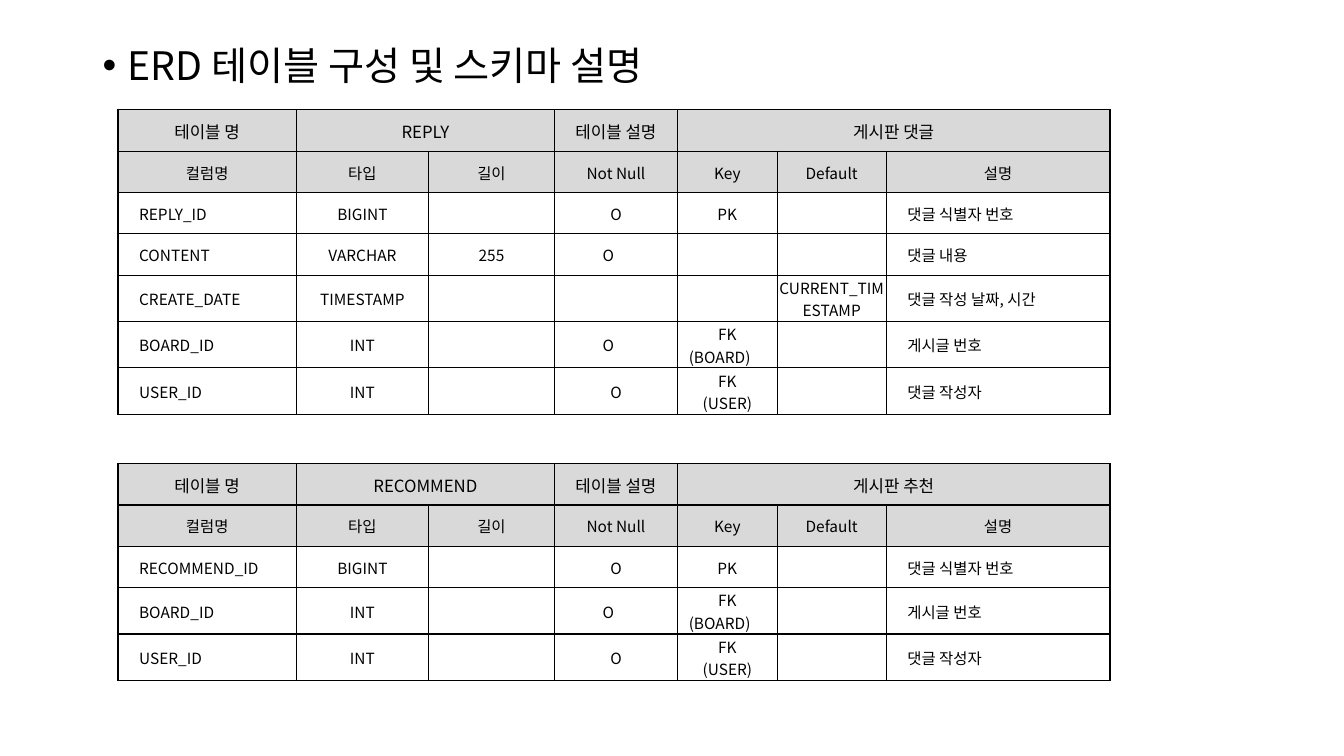
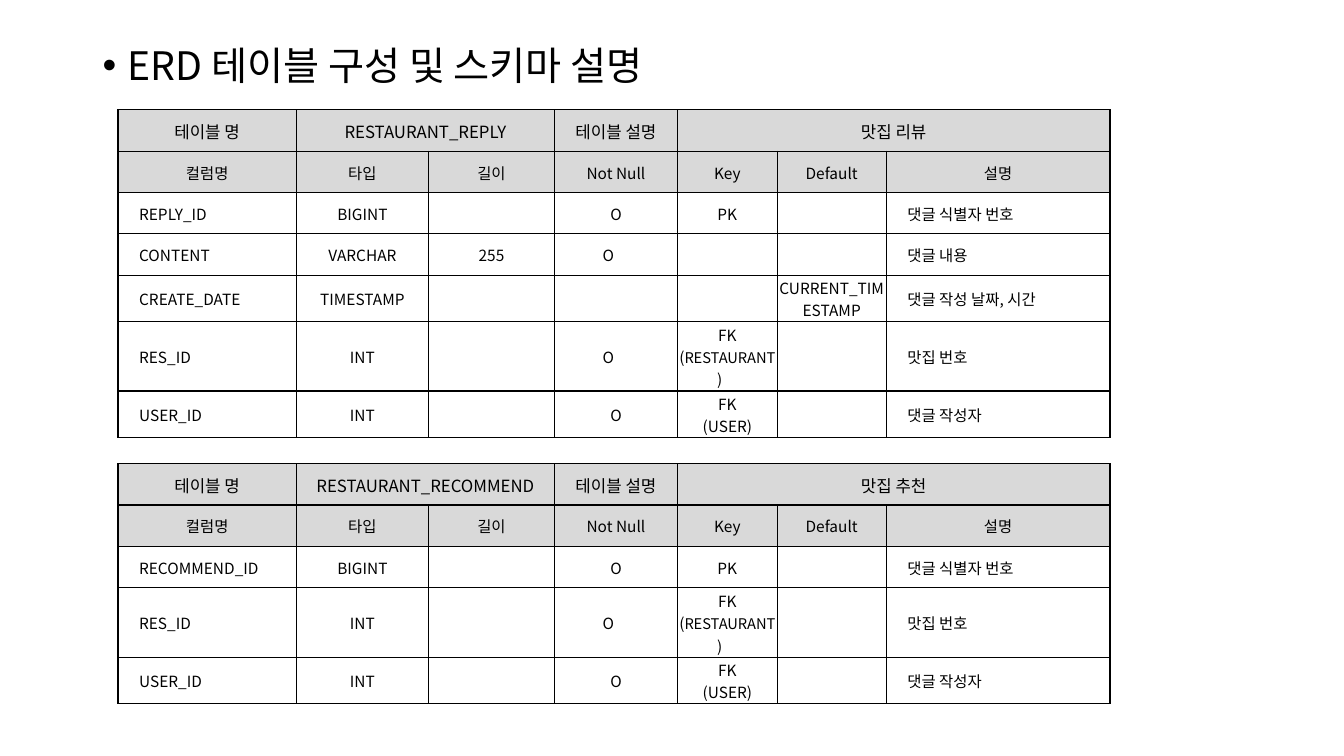
from math import ceil

from pptx import Presentation
from pptx.dml.color import RGBColor
from pptx.enum.text import MSO_ANCHOR, PP_ALIGN
from pptx.oxml.ns import qn
from pptx.util import Inches, Pt
from lxml.etree import SubElement, Element

COLORS = {"ink": "000000", "head": "D9D9D9"}
FONT = "Noto Sans CJK KR"
COLS = [1.77, 1.31, 1.25, 1.22, 0.99, 1.08, 2.22]
ROW = 0.41
LINE = 0.23
FIT = 11
HEADS = ["컬럼명", "타입", "길이", "Not Null", "Key", "Default", "설명"]
LEFT_COLS = (0, 6)
TITLE = "ERD 테이블 구성 및 스키마 설명"


def tall(row):
    """Row height that holds every wrapped line of the narrow Key and Default cells."""
    count = max(sum(ceil(len(line.replace("|", "")) / FIT) for line in text.split("\n"))
                for text in row[4:6])
    return max(ROW, LINE * count)


class Deck:
    """Holds the shared style and the slide being filled."""

    def __init__(self):
        self.prs = Presentation()
        self.prs.slide_width = Inches(13.33)
        self.prs.slide_height = Inches(7.5)
        self.slide = None

    def add(self, title):
        self.slide = self.prs.slides.add_slide(self.prs.slide_layouts[6])
        self.title(title)

    def run(self, para, text, size):
        run = para.add_run()
        run.text = text
        font = run.font
        font.size = Pt(size)
        font.name = FONT
        font.color.rgb = RGBColor.from_string(COLORS["ink"])
        SubElement(run._r.get_or_add_rPr(), qn("a:ea"), typeface=FONT)

    def title(self, text):
        box = self.slide.shapes.add_textbox(
            Inches(0.92), Inches(0.41), Inches(11.5), Inches(0.6))
        box.text_frame.word_wrap = True
        para = box.text_frame.paragraphs[0]
        para.line_spacing = 0.9
        props = para._p.get_or_add_pPr()
        props.set("marL", str(Inches(0.25)))
        props.set("indent", str(-Inches(0.25)))
        SubElement(props, qn("a:buFont"), typeface="Arial")
        SubElement(props, qn("a:buChar"), char="•")
        self.run(para, text, 28)

    def border(self, cell):
        """Draw a thin line on all four sides of a cell."""
        props = cell._tc.get_or_add_tcPr()
        for spot, side in enumerate(("lnL", "lnR", "lnT", "lnB")):
            line = Element(qn("a:" + side), w=str(Pt(1)))
            fill = SubElement(line, qn("a:solidFill"))
            SubElement(fill, qn("a:srgbClr"), val=COLORS["ink"])
            props.insert(spot, line)

    def cell(self, cell, text, size, head, left):
        """Fill a cell; a line break starts a paragraph, bars enclose smaller text."""
        cell.vertical_anchor = MSO_ANCHOR.MIDDLE
        cell.margin_left = Inches(0.21 if left else 0.01)
        cell.margin_right = cell.margin_top = Inches(0.01)
        cell.margin_bottom = 0
        if head:
            cell.fill.solid()
            cell.fill.fore_color.rgb = RGBColor.from_string(COLORS["head"])
        else:
            cell.fill.background()
        self.border(cell)
        if not text:
            return
        frame = cell.text_frame
        for num, line in enumerate(text.split("\n")):
            para = frame.add_paragraph() if num else frame.paragraphs[0]
            para.alignment = PP_ALIGN.LEFT if left else PP_ALIGN.CENTER
            for part, piece in enumerate(line.split("|")):
                self.run(para, piece, 10.5 if part % 2 else size)

    def table(self, top, name, about, fields):
        first = ["테이블 명", name, "", "테이블 설명", about, "", ""]
        rows = [first, HEADS, *fields]
        highs = [tall(row) for row in rows]
        frame = self.slide.shapes.add_table(
            len(rows), len(COLS), Inches(1.17), Inches(top),
            Inches(sum(COLS)), Inches(sum(highs)))
        table = frame.table
        table.first_row = table.horz_banding = False
        for col, width in zip(table.columns, COLS):
            col.width = Inches(width)
        for r, row in enumerate(rows):
            table.rows[r].height = Inches(highs[r])
            head = r < 2
            for c, text in enumerate(row):
                self.cell(table.cell(r, c), text, 11 if r else 12, head,
                          not head and c in LEFT_COLS)
        table.cell(0, 1).merge(table.cell(0, 2))
        table.cell(0, 4).merge(table.cell(0, 6))


def key(name):
    return [name, "BIGINT", "", "O", "PK", "", "댓글 식별자 번호"]


def link(name, target, about):
    return [name, "INT", "", "O　", f"FK\n({target})　", "", about]


BODY = [
    ["CONTENT", "VARCHAR", "255", "O　", "", "", "댓글 내용"],
    ["CREATE_DATE", "TIMESTAMP", "", "", "", "CURRENT_TIMESTAMP", "댓글 작성 날짜, 시간"],
]
USER = ["USER_ID", "INT", "", "O", "FK\n(USER)", "", "댓글 작성자"]
PAGES = [
    ("", "게시판 댓글", "게시판 추천", link("BOARD_ID", "BOARD", "게시글 번호")),
    ("RESTAURANT_", "맛집 리뷰", "맛집 추천", link("RES_ID", "|RESTAURANT|", "맛집 번호")),
]


def main():
    deck = Deck()
    for prefix, reply, vote, owner in PAGES:
        deck.add(TITLE)
        deck.table(1.09, prefix + "REPLY", reply, [key("REPLY_ID"), *BODY, owner, USER])
        deck.table(4.6, prefix + "RECOMMEND", vote, [key("RECOMMEND_ID"), owner, USER])
    deck.prs.save("out.pptx")


if __name__ == "__main__":
    main()
